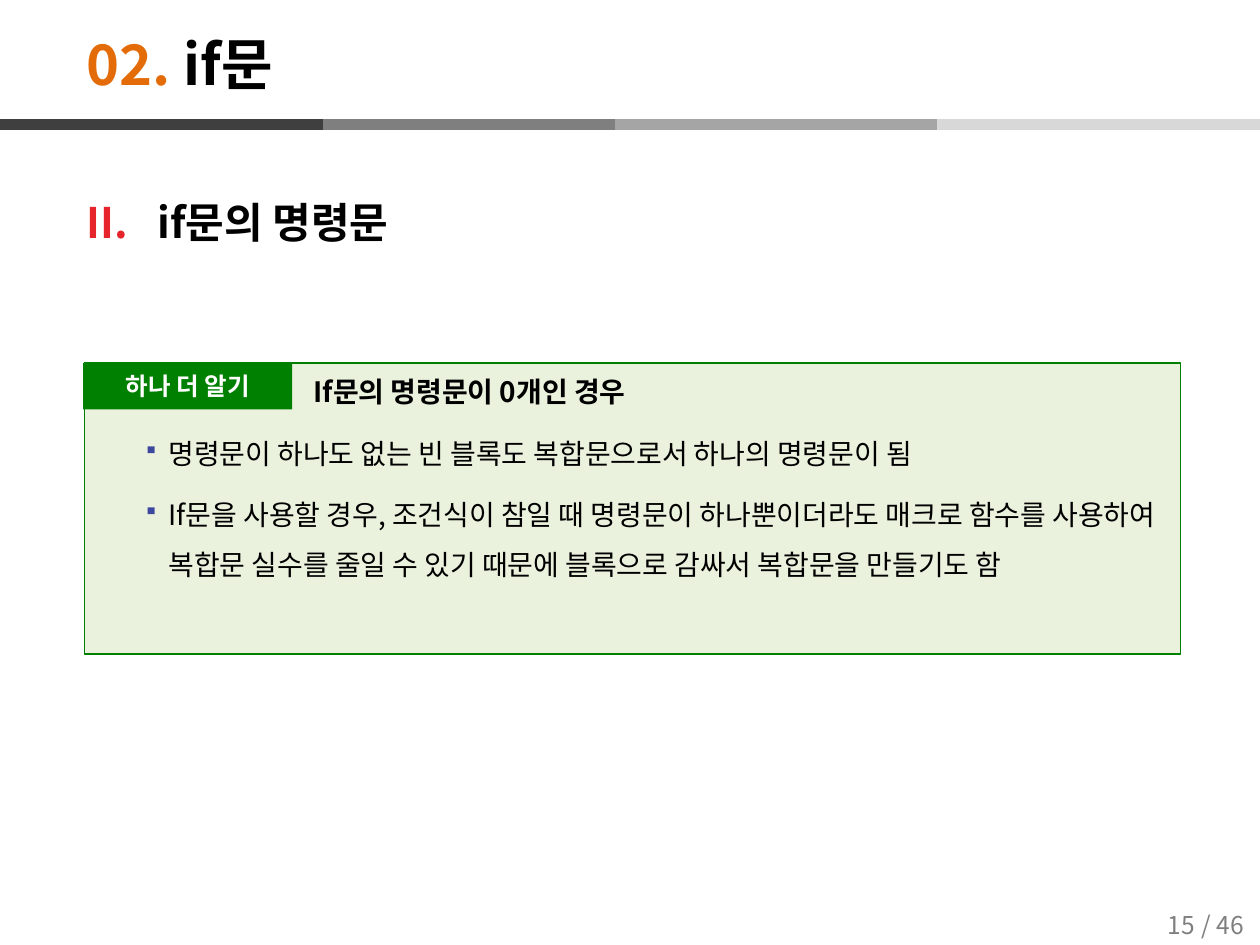
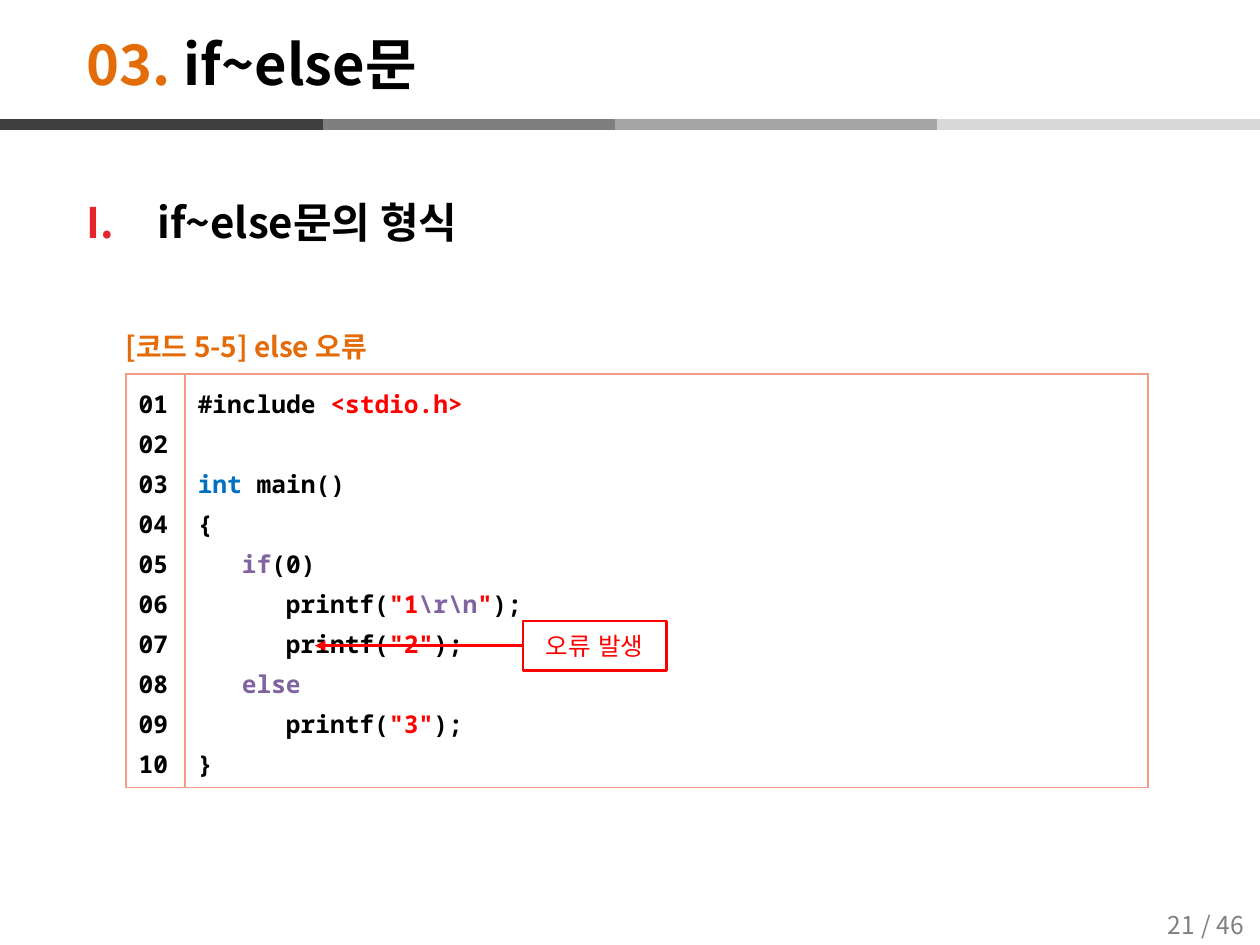
from lxml.etree import SubElement
from pptx import Presentation
from pptx.dml.color import RGBColor
from pptx.enum.shapes import MSO_CONNECTOR, MSO_SHAPE
from pptx.enum.text import MSO_ANCHOR, PP_ALIGN
from pptx.oxml.ns import qn
from pptx.util import Inches, Pt

WIDTH, HEIGHT = Inches(10), Inches(7.5)
UNIT = WIDTH / 100  # the grid has 100 columns and 75 rows of square cells
SANS, MONO, LABEL = "Noto Sans CJK KR", "Noto Sans Mono", "Arial"
LAST_PAGE = 46

COLORS = {
    "text": "000000", "white": "FFFFFF", "accent": "E36C09", "page": "7F7F7F",
    "numeral": "E5242C", "bullet": "3C479D", "panel": "EAF1DD", "green": "008000",
    "border": "F29B87", "string": "FF0000", "type": "0070C0", "keyword": "8064A2",
}
BAND = [(23.2, 48.8, "7F7F7F"), (48.8, 74.4, "A5A5A5"),
        (74.4, 100, "D8D8D8"), (0, 25.6, "3F3F3F")]

NOTES = [
    "명령문이 하나도 없는 빈 블록도 복합문으로서 하나의 명령문이 됨",
    "If문을 사용할 경우, 조건식이 참일 때 명령문이 하나뿐이더라도 매크로 함수를 "
    "사용하여 복합문 실수를 줄일 수 있기 때문에 블록으로 감싸서 복합문을 만들기도 함",
]

# Each line of code: indent level, then (text, colour) runs; no runs for an empty line
CODE = [
    (0, [("#include ", "text"), ("<stdio.h>", "string")]),
    (0, []),
    (0, [("int", "type"), (" main()", "text")]),
    (0, [("{", "text")]),
    (1, [("if", "keyword"), ("(0)", "text")]),
    (2, [("printf(", "text"), ('"1', "string"), ("\\r\\n", "keyword"),
         ('"', "string"), (");", "text")]),
    (2, [("printf(", "text"), ('"2"', "string"), (");", "text")]),
    (1, [("else", "keyword")]),
    (2, [("printf(", "text"), ('"3"', "string"), (");", "text")]),
    (0, [("}", "text")]),
]
CODE_SIZE = 14
CODE_INDENT = Pt(CODE_SIZE * 0.6 * 3)  # three monospaced characters
CODE_LINE = Pt(22.9)


def grid(*cells):
    return [round(cell * UNIT) for cell in cells]


def rgb(name):
    return RGBColor.from_string(COLORS.get(name, name))


def set_font(paragraph, size, color="text", bold=False, name=SANS):
    """Set the paragraph's font for Latin and Korean text, without kerning."""
    font = paragraph.font
    font.size, font.bold, font.name = Pt(size), bold, name
    font.color.rgb = rgb(color)
    font._element.set("kern", "0")
    SubElement(font._element, qn("a:ea"), typeface=name)


def set_indent(paragraph, left, first=0):
    properties = paragraph._p.get_or_add_pPr()
    properties.set("marL", str(int(left)))
    properties.set("indent", str(int(first)))
    return properties


def set_bullet(paragraph, color, left, first, percent, kind, **attributes):
    properties = set_indent(paragraph, left, first)
    bullet_color = SubElement(properties, qn("a:buClr"))
    SubElement(bullet_color, qn("a:srgbClr"), val=COLORS[color])
    SubElement(properties, qn("a:buSzPct"), val=str(percent * 1000))
    SubElement(properties, qn(kind), **attributes)


def add_runs(paragraph, runs):
    for text, color in runs:
        run = paragraph.add_run()
        run.text = text
        run.font.color.rgb = rgb(color)


def add_text_frame(slide, place, anchor=MSO_ANCHOR.MIDDLE):
    frame = slide.shapes.add_textbox(*grid(*place)).text_frame
    frame.word_wrap = True
    frame.vertical_anchor = anchor
    return frame


def add_label(slide, place, text, size, color="text", bold=False, align=PP_ALIGN.LEFT):
    paragraph = add_text_frame(slide, place).paragraphs[0]
    paragraph.text, paragraph.alignment = text, align
    set_font(paragraph, size, color, bold)
    return paragraph


def add_box(slide, place, fill=None, line=None, line_width=1):
    shape = slide.shapes.add_shape(MSO_SHAPE.RECTANGLE, *grid(*place))
    shape.shadow.inherit = False
    if fill:
        shape.fill.solid()
        shape.fill.fore_color.rgb = rgb(fill)
    else:
        shape.fill.background()
    if line:
        shape.line.color.rgb = rgb(line)
        shape.line.width = Pt(line_width)
    else:
        shape.line.fill.background()
    return shape


def add_box_text(shape, text, color, bold=False, name=SANS):
    shape.text_frame.vertical_anchor = MSO_ANCHOR.MIDDLE
    paragraph = shape.text_frame.paragraphs[0]
    paragraph.text, paragraph.alignment = text, PP_ALIGN.CENTER
    set_font(paragraph, 14, color, bold, name)


def add_line(slide, start, end, color, width, arrow=False):
    connector = slide.shapes.add_connector(
        MSO_CONNECTOR.STRAIGHT, *grid(*start, *end))
    connector.line.color.rgb = rgb(color)
    connector.line.width = Pt(width)
    if arrow:
        SubElement(connector.line._get_or_add_ln(), qn("a:tailEnd"), type="triangle")
    SubElement(connector._element.spPr, qn("a:effectLst"))


def add_section_slide(presentation, page, number, title, section, heading):
    """Add a slide with the shared band, page number, title and numbered heading."""
    slide = presentation.slides.add_slide(presentation.slide_layouts[6])
    for left, right, color in BAND:
        add_line(slide, (left, 9.9), (right, 9.9), color, 6)
    for left, text in ((93.5, f"/ {LAST_PAGE}"), (90.2, str(page))):
        add_label(slide, (left, 71.4, 7.1, 3.9), text, 14, "page",
                  align=PP_ALIGN.CENTER)

    paragraph = add_text_frame(slide, (5.9, 2, 87.4, 6)).paragraphs[0]
    set_font(paragraph, 32, bold=True)
    add_runs(paragraph, [(f"{number} ", "accent"), (title, "text")])

    frame = add_text_frame(slide, (5.9, 13.1, 88.2, 7.2), MSO_ANCHOR.TOP)
    paragraph = frame.paragraphs[0]
    paragraph.text, paragraph.line_spacing = heading, 1.5
    set_bullet(paragraph, "numeral", Inches(0.56), Inches(-0.56), 100, "a:buAutoNum",
               type="romanUcPeriod", startAt=str(section))
    set_font(paragraph, 24, bold=True)
    return slide


def add_note_panel(slide, tag, heading, notes):
    add_box(slide, (6.7, 28.8, 87, 23.1), "panel", "green")
    frame = add_text_frame(slide, (7.5, 32.8, 85.4, 12), MSO_ANCHOR.TOP)
    for index, note in enumerate(notes):
        paragraph = frame.add_paragraph() if index else frame.paragraphs[0]
        paragraph.text, paragraph.line_spacing = note, 1.5
        paragraph.space_before = Pt(6)
        set_bullet(paragraph, "bullet", Inches(0.49), Inches(-0.2), 75,
                   "a:buChar", char="▪")
        set_font(paragraph, 16)
    add_box_text(add_box(slide, (6.6, 28.8, 16.6, 3.7), "green"), tag, "white", True)
    add_label(slide, (23.9, 28.9, 51.6, 3), heading, 16, bold=True).line_spacing = 1.5


def set_borders(cell, color):
    properties = cell._tc.get_or_add_tcPr()
    for side in ("a:lnL", "a:lnR", "a:lnT", "a:lnB"):
        line = SubElement(properties, qn(side), w=str(Pt(1)))
        SubElement(SubElement(line, qn("a:solidFill")), qn("a:srgbClr"), val=COLORS[color])
    cell.fill.background()


def write_code(cell, lines):
    """Write code lines; an empty line becomes space above the next one."""
    frame = cell.text_frame
    paragraph, empty_lines = None, 0
    for level, runs in lines:
        if not runs:
            empty_lines += 1
            continue
        paragraph = frame.add_paragraph() if paragraph else frame.paragraphs[0]
        paragraph.line_spacing = 1.2
        paragraph.space_before = CODE_LINE * empty_lines
        set_indent(paragraph, CODE_INDENT * level)
        set_font(paragraph, CODE_SIZE, bold=True, name=MONO)
        add_runs(paragraph, runs)
        empty_lines = 0


def add_code_table(slide, place, number_width, lines):
    table = slide.shapes.add_table(1, 2, *grid(*place)).table
    table.first_row = table.horz_banding = False
    widths = grid(number_width, place[2] - number_width)
    numbers = [(0, [(f"{index:02}", "text")]) for index in range(1, len(lines) + 1)]
    for column, (width, content) in enumerate(zip(widths, (numbers, lines))):
        table.columns[column].width = width
        cell = table.cell(0, column)
        set_borders(cell, "border")
        write_code(cell, content)


def add_callout(slide, place, text, arrow_end):
    left, top, _, height = place
    add_box_text(add_box(slide, place, line="string", line_width=1.5),
                 text, "string", name=LABEL)
    middle = top + height / 2
    add_line(slide, (left, middle), (arrow_end, middle), "string", 1.5, arrow=True)


def main():
    presentation = Presentation()
    presentation.slide_width, presentation.slide_height = WIDTH, HEIGHT

    slide = add_section_slide(presentation, 15, "02.", "if문", 2, "if문의 명령문")
    add_note_panel(slide, "하나 더 알기", "If문의 명령문이 0개인 경우", NOTES)

    slide = add_section_slide(presentation, 21, "03.", "if~else문", 1, "if~else문의 형식")
    add_label(slide, (9, 25.7, 43.7, 3.5), "[코드 5-5] else 오류", 16, "accent", True)
    add_code_table(slide, (10, 29.7, 81.1, 32.8), 4.7, CODE)
    add_callout(slide, (41.5, 49.3, 11.4, 3.9), "오류 발생", 25)

    presentation.save("out.pptx")


if __name__ == "__main__":
    main()
